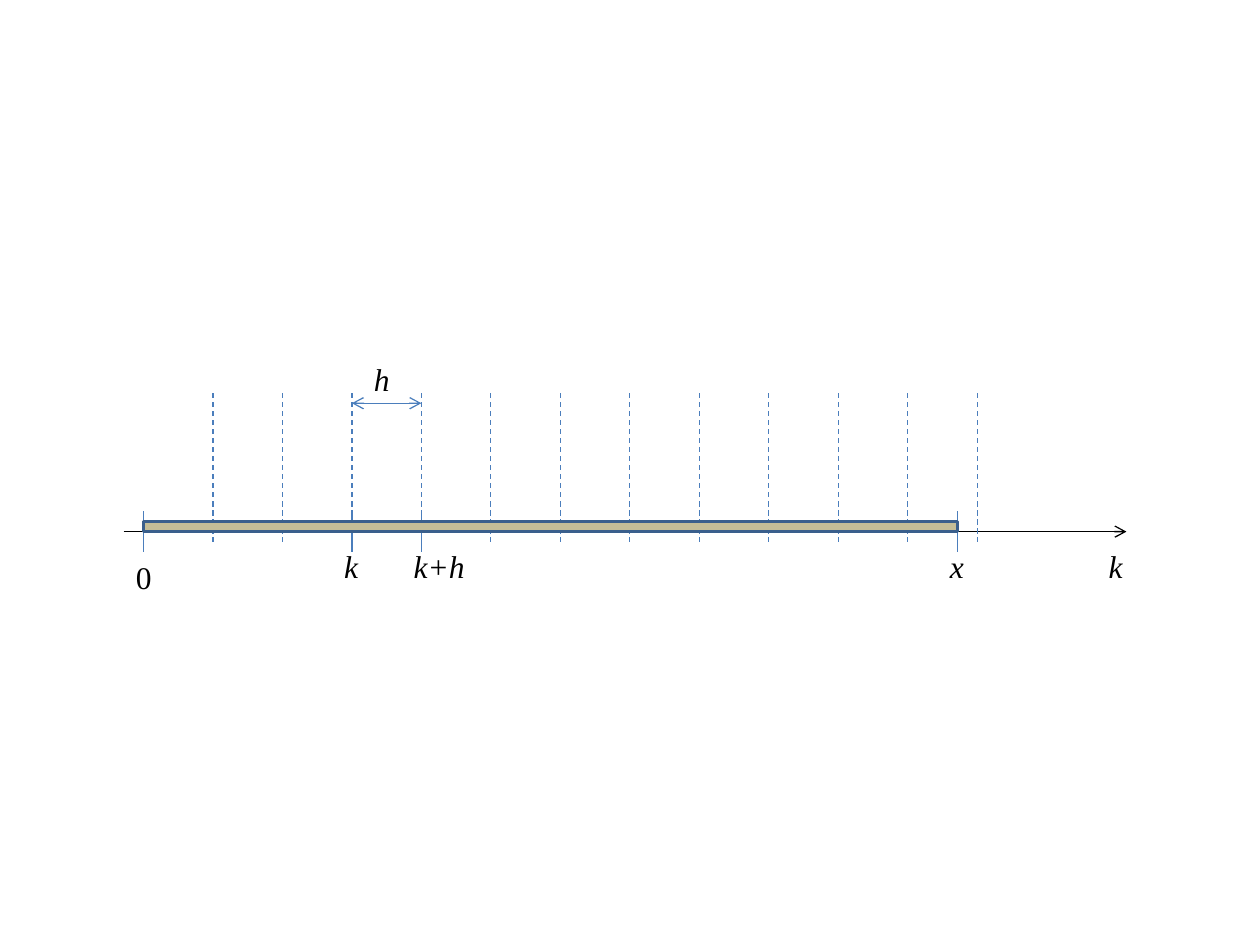
from lxml.etree import SubElement
from pptx import Presentation
from pptx.dml.color import RGBColor
from pptx.enum.dml import MSO_LINE
from pptx.enum.shapes import MSO_CONNECTOR, MSO_SHAPE
from pptx.enum.text import MSO_AUTO_SIZE
from pptx.oxml.ns import qn
from pptx.util import Pt

COLORS = {"ink": "000000", "line": "4B7EBC", "bar": "C4BD97", "edge": "3A5F8C"}
FONT = "Times New Roman"
TEXT_SIZE = 18
ORIGIN, STEP, STEPS = 82, 39.7, 12
BAR_END = 547.2
AXIS_Y = 303.8
TICK_HALF = 11.5
GRID_TOP, GRID_BOTTOM = 224.6, 309.6
SPAN_Y = 230.4
LABEL_Y = 308.9


class Diagram:
    def __init__(self, page):
        self.page = page

    def color(self, name):
        return RGBColor.from_string(COLORS[name])

    def line(self, start, end, color="line", dash=None, arrows=()):
        """Draw a line; arrows may name "headEnd" (start) and "tailEnd" (end)."""
        connector = self.page.shapes.add_connector(
            MSO_CONNECTOR.STRAIGHT, *map(Pt, (*start, *end)))
        connector.line.width = Pt(0.75)
        connector.line.color.rgb = self.color(color)
        if dash:
            connector.line.dash_style = dash
        properties = connector.line._get_or_add_ln()
        for arrow in arrows:
            SubElement(properties, qn(f"a:{arrow}"), type="arrow")
        SubElement(connector._element.spPr, qn("a:effectLst"))

    def tick(self, x):
        self.line((x, AXIS_Y - TICK_HALF), (x, AXIS_Y + TICK_HALF))

    def label(self, text, left, top=LABEL_Y, width=39.7, italic=True):
        box = self.page.shapes.add_textbox(Pt(left), Pt(top), Pt(width), Pt(29))
        frame = box.text_frame
        frame.word_wrap = True
        frame.auto_size = MSO_AUTO_SIZE.SHAPE_TO_FIT_TEXT
        span = frame.paragraphs[0].add_run()
        span.text = text
        span.font.name = FONT
        span.font.size = Pt(TEXT_SIZE)
        span.font.italic = italic
        span.font.color.rgb = self.color("ink")

    def bar(self, left, top, width, height):
        bar = self.page.shapes.add_shape(
            MSO_SHAPE.RECTANGLE, *map(Pt, (left, top, width, height)))
        bar.shadow.inherit = False
        bar.fill.solid()
        bar.fill.fore_color.rgb = self.color("bar")
        bar.line.color.rgb = self.color("edge")
        bar.line.width = Pt(2)


def main():
    deck = Presentation()
    deck.slide_width, deck.slide_height = Pt(720), Pt(540)
    diagram = Diagram(deck.slides.add_slide(deck.slide_layouts[6]))
    grid = [ORIGIN + STEP * index for index in range(STEPS + 1)]
    k, k_plus_h = grid[3:5]

    diagram.line((70.6, AXIS_Y), (643.7, AXIS_Y), "ink", arrows=["tailEnd"])
    for x in grid[1:]:
        diagram.line((x, GRID_TOP), (x, GRID_BOTTOM), dash=MSO_LINE.DASH)
    for x in (ORIGIN, k, k_plus_h, BAR_END):
        diagram.tick(x)
    diagram.line((k, SPAN_Y), (k_plus_h, SPAN_Y), arrows=["headEnd", "tailEnd"])

    diagram.label("0", ORIGIN - TICK_HALF, top=315.4, italic=False)
    diagram.label("k", k - TICK_HALF)
    diagram.label("k+h", k_plus_h - TICK_HALF, width=51.1)
    diagram.label("x", BAR_END - TICK_HALF)
    diagram.label("k", 626.4)
    diagram.label("h", 206.6, top=202.2)

    diagram.bar(ORIGIN, 298.1, BAR_END - ORIGIN, 5.7)
    deck.save("out.pptx")


if __name__ == "__main__":
    main()
